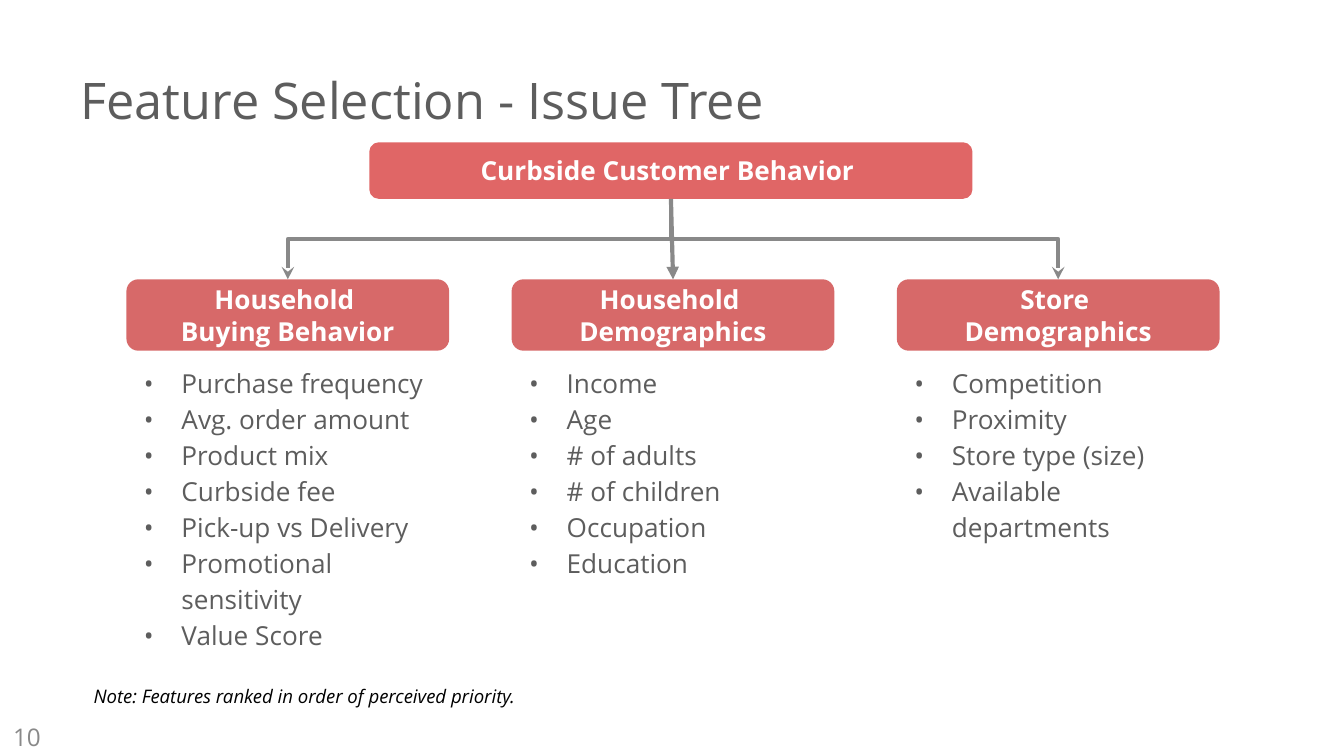
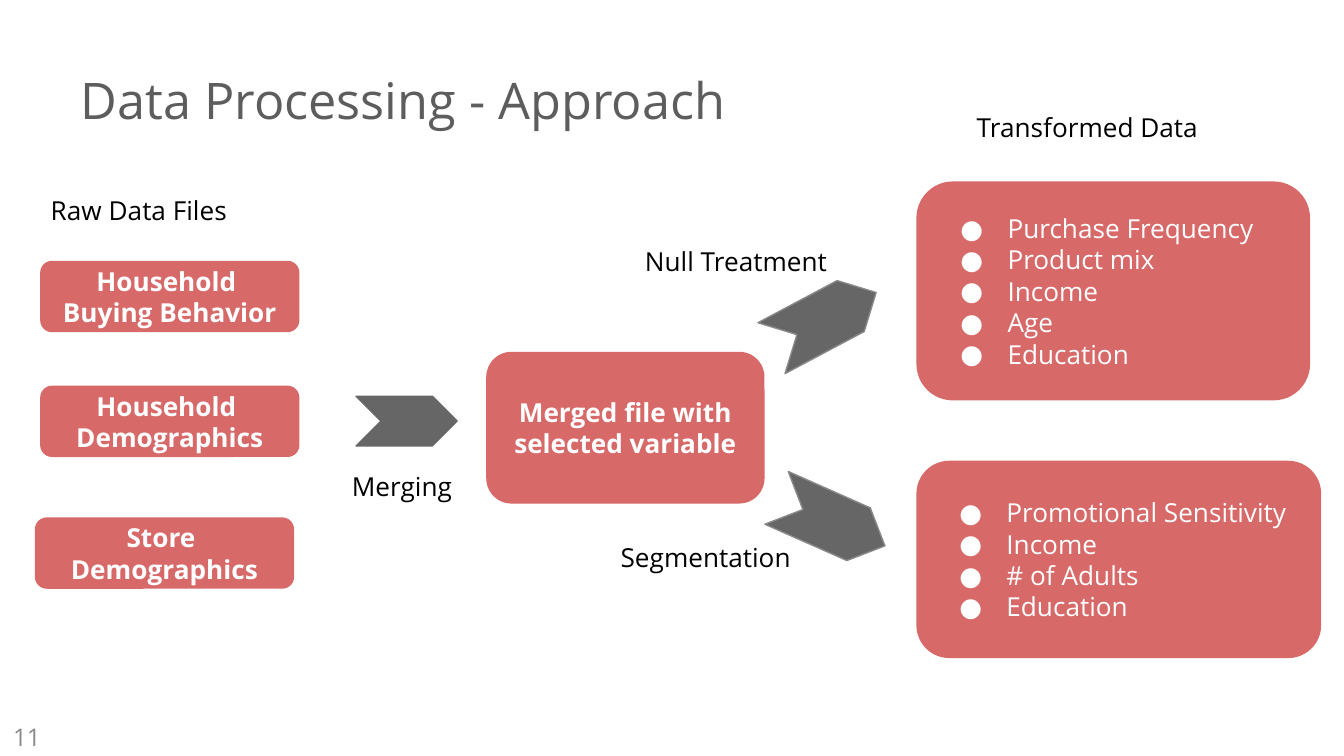
from lxml.etree import SubElement
from pptx import Presentation
from pptx.dml.color import RGBColor
from pptx.enum.shapes import MSO_CONNECTOR as Connector, MSO_SHAPE as Shape
from pptx.enum.text import MSO_ANCHOR as Anchor, MSO_AUTO_SIZE as AutoSize, PP_ALIGN as Align
from pptx.oxml.ns import qn
from pptx.util import Cm, Pt

RED = RGBColor(0xBB, 0x00, 0x00)
CORAL = RGBColor(0xE0, 0x66, 0x66)
TEXT_GRAY = RGBColor(0x5D, 0x5D, 0x5D)
LINE_GRAY = RGBColor(0x89, 0x89, 0x89)
ARROW_GRAY = RGBColor(0x66, 0x66, 0x66)
WHITE = RGBColor(0xFF, 0xFF, 0xFF)
BLACK = RGBColor(0x00, 0x00, 0x00)

COMPARISON, TITLE_ONLY = 4, 5
BUYING = "Household \nBuying Behavior"
HOUSEHOLD = "Household \nDemographics"
STORE = "Store \nDemographics"
BOX_HEIGHT = 1.35


class Deck:
    font = "Open Sans"
    size = 14
    opacity = 59

    def __init__(self):
        self.presentation = Presentation()
        self.presentation.slide_width = Cm(25.4)
        self.presentation.slide_height = Cm(14.29)
        self.slide = None

    def new_slide(self, layout, title, number):
        layouts = self.presentation.slide_layouts
        self.slide = self.presentation.slides.add_slide(layouts[layout])
        shape = self.slide.shapes.title
        self.place(shape, 1.27, 1.02, 22.86, 1.7)
        self.frame(shape, Anchor.MIDDLE)
        self.add_text(shape.text_frame.paragraphs[0], title, TEXT_GRAY, size=27)
        self.label(number, 0, 13.41, 1.52, color=LINE_GRAY, size=13)

    def place(self, shape, left, top, width, height):
        shape.left, shape.top = Cm(left), Cm(top)
        shape.width, shape.height = Cm(width), Cm(height)

    def frame(self, shape, anchor, inset=0.13):
        frame = shape.text_frame
        frame.word_wrap = True
        frame.auto_size = AutoSize.NONE
        frame.vertical_anchor = anchor
        frame.margin_left = frame.margin_right = Cm(0.25)
        frame.margin_top = frame.margin_bottom = Cm(inset)

    def add_text(self, paragraph, text, color, size=size, bold=False, italic=False,
                 align=Align.LEFT):
        paragraph.alignment = align
        for index, line in enumerate(text.split("\n")):
            if index:
                paragraph.add_line_break()
            run = paragraph.add_run()
            run.text = line
            font = run.font
            font.name, font.size = self.font, Pt(size)
            font.bold, font.italic = bold, italic
            font.color.rgb = color

    def label(self, text, left, top, width, height=1.09, color=BLACK, **style):
        shape = self.slide.shapes.add_textbox(Cm(left), Cm(top), Cm(width), Cm(height))
        self.frame(shape, Anchor.TOP, 0.25)
        self.add_text(shape.text_frame.paragraphs[0], text, color, **style)

    def bullets(self, shape, items, mark, color, indent, hanging, spacing=1.0):
        frame = shape.text_frame
        for index, item in enumerate(items):
            paragraph = frame.add_paragraph() if index else frame.paragraphs[0]
            properties = paragraph._p.get_or_add_pPr()
            properties.set("marL", str(Cm(indent)))
            properties.set("indent", str(-Cm(hanging)))
            bullet_color = SubElement(properties, qn("a:buClr"))
            SubElement(bullet_color, qn("a:srgbClr"), val=str(color))
            SubElement(properties, qn("a:buFont"), typeface=self.font)
            SubElement(properties, qn("a:buChar"), char=mark)
            paragraph.line_spacing = spacing
            paragraph.space_before = Pt(0)
            self.add_text(paragraph, item, color)

    def body_list(self, index, items, left, top, width, height):
        shape = self.slide.placeholders[index]
        self.place(shape, left, top, width, height)
        self.frame(shape, Anchor.TOP)
        self.bullets(shape, items, "•", TEXT_GRAY, 0.79, 0.71, 1.15)

    def rounded(self, left, top, width, height, fill=RED):
        shape = self.slide.shapes.add_shape(
            Shape.ROUNDED_RECTANGLE, Cm(left), Cm(top), Cm(width), Cm(height))
        shape.shadow.inherit = False
        shape.fill.solid()
        shape.fill.fore_color.rgb = fill
        shape.line.fill.background()
        if fill == RED:
            color = shape.element.spPr.find(qn("a:solidFill"))[0]
            SubElement(color, qn("a:alpha"), val=str(self.opacity * 1000))
        self.frame(shape, Anchor.MIDDLE)
        return shape

    def box(self, text, left, top, width, height=BOX_HEIGHT, fill=RED):
        shape = self.rounded(left, top, width, height, fill)
        self.add_text(shape.text_frame.paragraphs[0], text, WHITE, bold=True,
                      align=Align.CENTER)
        return shape

    def list_box(self, items, left, top, width, height):
        shape = self.rounded(left, top, width, height)
        self.bullets(shape, items, "●", WHITE, 1.27, 0.89)

    def chevron(self, left, top, width, height, rotation=0, line=LINE_GRAY):
        shape = self.slide.shapes.add_shape(
            Shape.CHEVRON, Cm(left), Cm(top), Cm(width), Cm(height))
        shape.shadow.inherit = False
        shape.rotation = rotation
        shape.fill.solid()
        shape.fill.fore_color.rgb = ARROW_GRAY
        shape.line.color.rgb = line
        shape.line.width = Pt(0.75)

    def arrow(self, parent, child, kind, head):
        """Join the bottom of the parent to the top of the child."""
        connector = self.slide.shapes.add_connector(kind, 0, 0, 0, 0)
        connector.begin_connect(parent, 2)
        connector.end_connect(child, 0)
        if kind == Connector.ELBOW:
            self.turn_upright(connector)
        connector.line.color.rgb = LINE_GRAY
        connector.line.width = Pt(2.25)
        line = connector.element.spPr.find(qn("a:ln"))
        SubElement(line, qn("a:tailEnd"), type=head)
        SubElement(connector.element.spPr, qn("a:effectLst"))

    def turn_upright(self, connector):
        """Rotate an elbow so that it leaves and arrives vertically."""
        to_right = connector.end_x > connector.begin_x
        center_x = (connector.begin_x + connector.end_x) // 2
        center_y = (connector.begin_y + connector.end_y) // 2
        drop, span = connector.height, connector.width
        connector.left, connector.top = center_x - drop // 2, center_y - span // 2
        connector.width, connector.height = drop, span
        transform = connector.element.spPr.find(qn("a:xfrm"))
        transform.set("rot", str((270 if to_right else 90) * 60000))
        transform.set("flipH", "1" if to_right else "0")


def issue_tree(deck):
    deck.new_slide(COMPARISON, "Feature Selection - Issue Tree", "10")
    branches = [
        (BUYING, Connector.ELBOW, "stealth",
         ["Purchase frequency", "Avg. order amount", "Product mix", "Curbside fee",
          "Pick-up vs Delivery", "Promotional sensitivity", "Value Score"]),
        (HOUSEHOLD, Connector.STRAIGHT, "triangle",
         ["Income", "Age", "# of adults", "# of children", "Occupation", "Education"]),
        (STORE, Connector.ELBOW, "stealth",
         ["Competition", "Proximity", "Store type (size)", "Available departments"]),
    ]
    root = deck.box("Curbside Customer Behavior ", 6.98, 2.69, 11.4, 1.07, CORAL)
    for column, (heading, kind, head, features) in enumerate(branches):
        left = 2.39 + 7.28 * column
        branch = deck.box(heading, left, 5.28, 6.1)
        deck.arrow(root, branch, kind, head)
        deck.body_list(column + 1, features, left, 6.73, 6.1, 5.66)
    unused = deck.slide.placeholders[len(branches) + 1].element
    unused.getparent().remove(unused)
    deck.label("Note: Features ranked in order of perceived priority.",
               1.52, 12.7, 19.46, 0.71, size=10, italic=True)


def data_processing(deck):
    deck.new_slide(TITLE_ONLY, "Data Processing - Approach", "11")
    for text, left, top in [(BUYING, 0.76, 4.93), (HOUSEHOLD, 0.76, 7.29),
                            (STORE, 0.66, 9.78)]:
        deck.box(text, left, top, 4.9)
    deck.box("Merged file with selected variable", 9.19, 6.65, 5.26, 2.87)
    deck.list_box(["Purchase Frequency", "Product mix", "Income", "Age", "Education"],
                  17.32, 3.43, 7.44, 4.14)
    deck.list_box(["Promotional Sensitivity", "Income", "# of Adults", "Education"],
                  17.32, 8.71, 7.65, 3.73)

    deck.chevron(6.73, 7.49, 1.91, 0.94, line=ARROW_GRAY)
    deck.chevron(14.45, 5.51, 2.24, 1.09, 332)
    deck.chevron(14.58, 9.32, 2.24, 1.09, 23.9)

    for text, left, top, width in [
        ("Raw Data Files", 0.71, 3.43, 5.56),
        ("Merging", 6.4, 8.64, 2.9),
        ("Null Treatment", 11.94, 4.39, 4.62),
        ("Segmentation", 11.48, 9.98, 4.62),
        ("Transformed Data", 18.21, 1.85, 5.56),
    ]:
        deck.label(text, left, top, width)


def main():
    deck = Deck()
    issue_tree(deck)
    data_processing(deck)
    deck.presentation.save("out.pptx")


if __name__ == "__main__":
    main()
